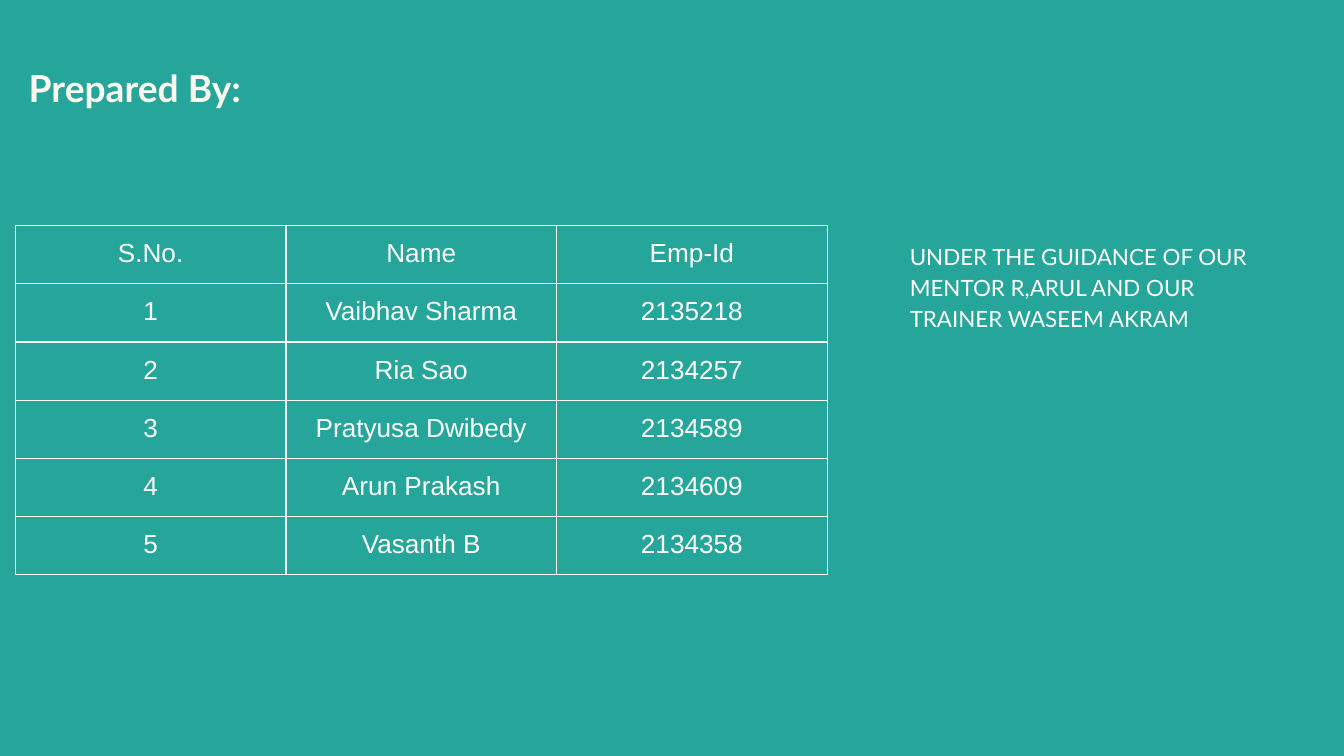
from lxml.etree import SubElement
from pptx import Presentation
from pptx.dml.color import RGBColor
from pptx.enum.text import MSO_ANCHOR, MSO_AUTO_SIZE, PP_ALIGN
from pptx.oxml.ns import qn
from pptx.util import Pt

# Content
TITLE = "Prepared By:"
GUIDANCE = "UNDER THE GUIDANCE OF OUR MENTOR R,ARUL AND OUR TRAINER WASEEM AKRAM"
TEAM = [
    ("S.No.", "Name", "Emp-Id"),
    ("1", "Vaibhav Sharma", "2135218"),
    ("2", "Ria Sao", "2134257"),
    ("3", "Pratyusa Dwibedy", "2134589"),
    ("4", "Arun Prakash", "2134609"),
    ("5", "Vasanth B", "2134358"),
]
COLORS = {"background": "26A69A", "title": "FFFBF0", "text": "FFFFFF"}

# Layout in points
LEFT, TOP = 8.2, 120.8
COLUMN_WIDTH, ROW_HEIGHT = 145, 31.2
INSET = 7.2
BORDER = 0.75


def write(frame, text, *, size, font="Lato", color="text", bold=False,
          align=PP_ALIGN.LEFT, line_spacing=1.0, space_after=0):
    """Put one unbulleted paragraph into a text frame."""
    frame.text = text
    paragraph = frame.paragraphs[0]
    properties = paragraph._p.get_or_add_pPr()
    properties.set("marL", "0")
    properties.set("indent", "0")
    SubElement(properties, qn("a:buNone"))
    paragraph.alignment = align
    paragraph.line_spacing = line_spacing
    paragraph.space_before = Pt(0)
    paragraph.space_after = Pt(space_after)
    span = paragraph.runs[0]
    span.font.name = font
    span.font.size = Pt(size)
    span.font.bold = bold
    span.font.color.rgb = RGBColor.from_string(COLORS[color])


def place(box, left, top, width, height, anchor):
    """Move a placeholder and set up its text frame."""
    box.left, box.top, box.width, box.height = map(Pt, (left, top, width, height))
    frame = box.text_frame
    set_margins(frame)
    frame.word_wrap = True
    frame.auto_size = MSO_AUTO_SIZE.NONE
    frame.vertical_anchor = anchor
    return frame


def set_margins(item):
    item.margin_left = item.margin_right = Pt(INSET)
    item.margin_top = item.margin_bottom = Pt(INSET)


def add_borders(cell):
    properties = cell._tc.get_or_add_tcPr()
    for side in ("lnL", "lnR", "lnT", "lnB"):
        line = SubElement(properties, qn(f"a:{side}"), w=str(Pt(BORDER)))
        fill = SubElement(line, qn("a:solidFill"))
        SubElement(fill, qn("a:srgbClr"), val=COLORS["text"])


deck = Presentation()
deck.slide_width, deck.slide_height = Pt(720), Pt(405)
page = deck.slides.add_slide(deck.slide_layouts[1])
page.background.fill.solid()
page.background.fill.fore_color.rgb = RGBColor.from_string(COLORS["background"])

# Title
title = place(page.shapes.title, LEFT, 27.4, 441.4, 39, MSO_ANCHOR.MIDDLE)
write(title, TITLE, size=19.9, color="title", bold=True)

# Guidance note
note = place(page.placeholders[1], 480.2, TOP, 213.8, 78.5, MSO_ANCHOR.TOP)
write(note, GUIDANCE, size=12, line_spacing=1.15, space_after=12)

# Team table
rows, columns = len(TEAM), len(TEAM[0])
table = page.shapes.add_table(rows, columns, Pt(LEFT), Pt(TOP),
                              Pt(columns * COLUMN_WIDTH),
                              Pt(rows * ROW_HEIGHT)).table
table.first_row = table.horz_banding = False
for column in table.columns:
    column.width = Pt(COLUMN_WIDTH)
for row, values in zip(table.rows, TEAM):
    row.height = Pt(ROW_HEIGHT)
    for cell, value in zip(row.cells, values):
        set_margins(cell)
        add_borders(cell)
        cell.fill.background()
        write(cell.text_frame, value, size=14, font="Arial", align=PP_ALIGN.CENTER)

deck.save("out.pptx")
